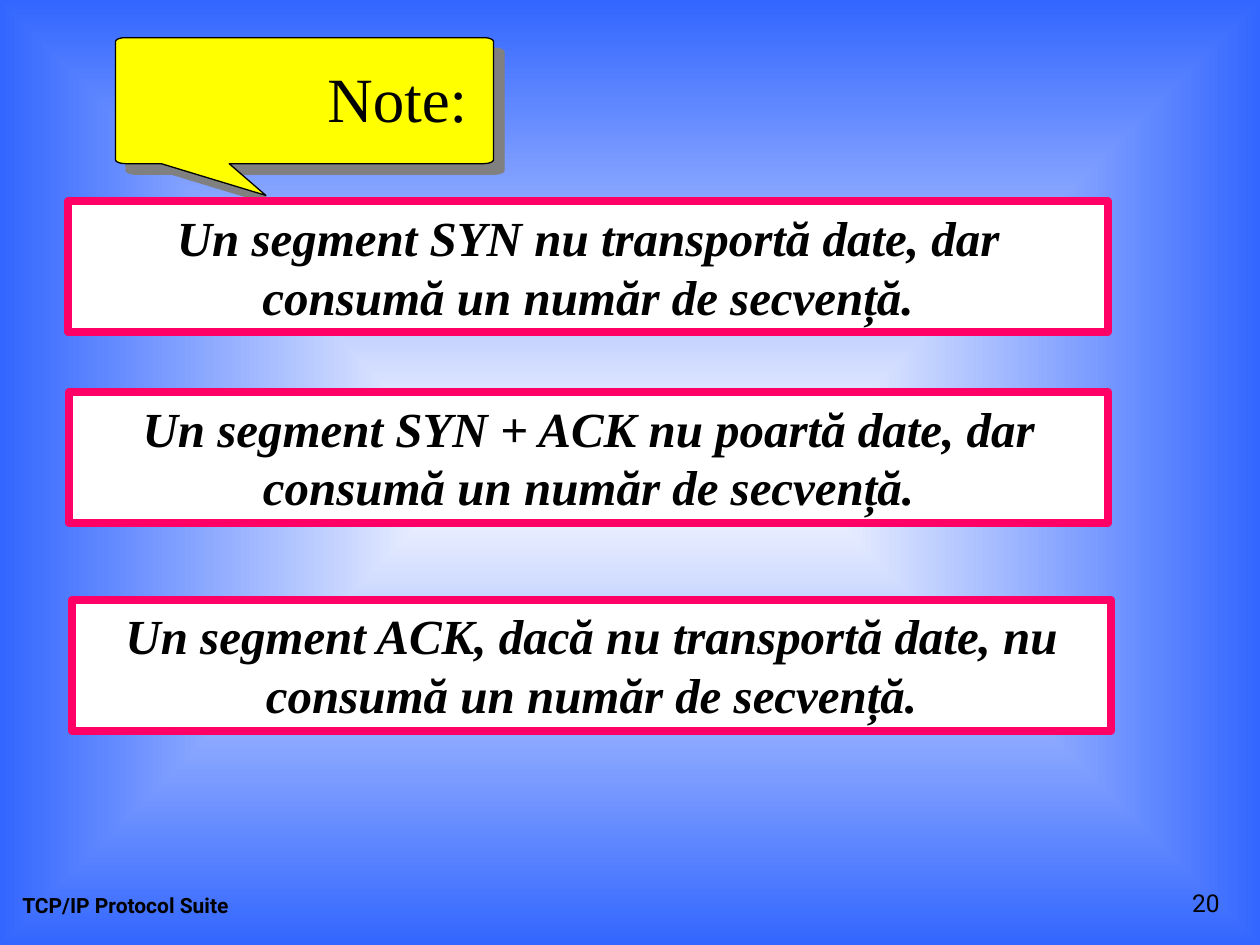
from math import cos, pi, sin

from lxml.etree import SubElement
from pptx import Presentation
from pptx.dml.color import RGBColor
from pptx.enum.shapes import MSO_SHAPE as Preset
from pptx.enum.text import MSO_ANCHOR as Anchor, MSO_AUTO_SIZE as Fit, PP_ALIGN as Align
from pptx.oxml.ns import qn
from pptx.util import Cm, Pt


def rgb(code):
    return RGBColor.from_string(code)


class Deck:
    serif = "Times New Roman"
    sans = "Roboto"
    ink = "000000"
    paper = "FFFFFF"
    frame = "FF0066"
    blue = "3366FF"
    yellow = "FFFF00"
    shade = "808080"

    def __init__(self):
        self.show = Presentation()
        self.show.slide_width, self.show.slide_height = Cm(25.4), Cm(19.05)
        self.slide = self.show.slides.add_slide(self.show.slide_layouts[6])

    def glow(self):
        fill = self.slide.background.fill
        fill.gradient()
        for stop, code in zip(fill.gradient_stops, (self.paper, self.blue)):
            stop.color.rgb = rgb(code)
        gradient = self.slide.element.find(".//" + qn("a:gradFill"))
        gradient.remove(gradient.find(qn("a:lin")))
        centre = SubElement(gradient, qn("a:path"), path="rect")
        SubElement(centre, qn("a:fillToRect"), l="50000", t="50000", r="50000", b="50000")

    def paint(self, shape, fill, line, width):
        shape.shadow.inherit = False
        shape.fill.solid()
        shape.fill.fore_color.rgb = rgb(fill)
        shape.line.color.rgb = rgb(line)
        shape.line.width = Pt(width)

    def set_text(self, shape, text, size, face, align=Align.LEFT, anchor=Anchor.TOP,
                 wrap=True, fit=Fit.NONE, bold=False, italic=False):
        frame = shape.text_frame
        frame.text = text
        frame.word_wrap, frame.vertical_anchor, frame.auto_size = wrap, anchor, fit
        paragraph = frame.paragraphs[0]
        paragraph.alignment = align
        font = paragraph.font
        font.name, font.size, font.bold, font.italic = face, Pt(size), bold, italic
        font.color.rgb = rgb(self.ink)

    def label(self, left, top, width, height, text, size, face, **style):
        box = self.slide.shapes.add_textbox(Cm(left), Cm(top), Cm(width), Cm(height))
        self.set_text(box, text, size, face, **style)

    def statement(self, left, top, text):
        box = self.slide.shapes.add_shape(Preset.RECTANGLE, Cm(left), Cm(top), Cm(20.95), Cm(2.64))
        self.paint(box, self.paper, self.frame, 4.5)
        self.set_text(box, text, 28, self.serif, align=Align.CENTER, fit=Fit.SHAPE_TO_FIT_TEXT,
                      bold=True, italic=True)

    def balloon(self, left, top, right, bottom, tail):
        rx, ry, steps = 0.2, 0.08, 6

        def corner(x, y, start):
            angles = [start + pi / 2 * step / steps for step in range(steps + 1)]
            return [(x + rx * cos(angle), y + ry * sin(angle)) for angle in angles]

        outline = (corner(left + rx, top + ry, pi)
                   + corner(right - rx, top + ry, 1.5 * pi)
                   + corner(right - rx, bottom - ry, 0)
                   + tail
                   + corner(left + rx, bottom - ry, pi / 2))
        points = [(Cm(x), Cm(y)) for x, y in outline]
        builder = self.slide.shapes.build_freeform(*points[0])
        builder.add_line_segments(points[1:], close=True)
        bubble = builder.convert_to_shape()
        self.paint(bubble, self.yellow, self.ink, 0.75)
        effects = bubble.element.spPr.find(qn("a:effectLst"))
        shadow = SubElement(effects, qn("a:outerShdw"), dist=str(int(Pt(8.5))), dir="2700000",
                            algn="ctr", rotWithShape="0")
        SubElement(shadow, qn("a:srgbClr"), val=self.shade)


def main():
    deck = Deck()
    deck.glow()
    deck.label(0.2, 17.35, 8.05, 1.27, "TCP/IP Protocol Suite", 12, deck.sans,
               anchor=Anchor.BOTTOM, bold=True)
    deck.label(19.56, 17.35, 5.28, 1.27, "20", 14, deck.sans,
               align=Align.RIGHT, anchor=Anchor.BOTTOM)
    deck.balloon(2.33, 0.76, 9.95, 3.3, [(4.62, 3.3), (5.36, 3.94), (3.25, 3.3)])
    deck.label(6.35, 1.07, 3.33, 1.78, "Note:", 36, deck.serif,
               wrap=False, fit=Fit.SHAPE_TO_FIT_TEXT)
    statements = (
        (1.38, 4.06, "Un segment SYN nu transportă date, dar consumă un număr de secvență."),
        (1.39, 7.9, "Un segment SYN + ACK nu poartă date, dar consumă un număr de secvență."),
        (1.45, 12.09, "Un segment ACK, dacă nu transportă date, nu consumă un număr de secvență."),
    )
    for left, top, text in statements:
        deck.statement(left, top, text)
    deck.show.save("out.pptx")


if __name__ == "__main__":
    main()
